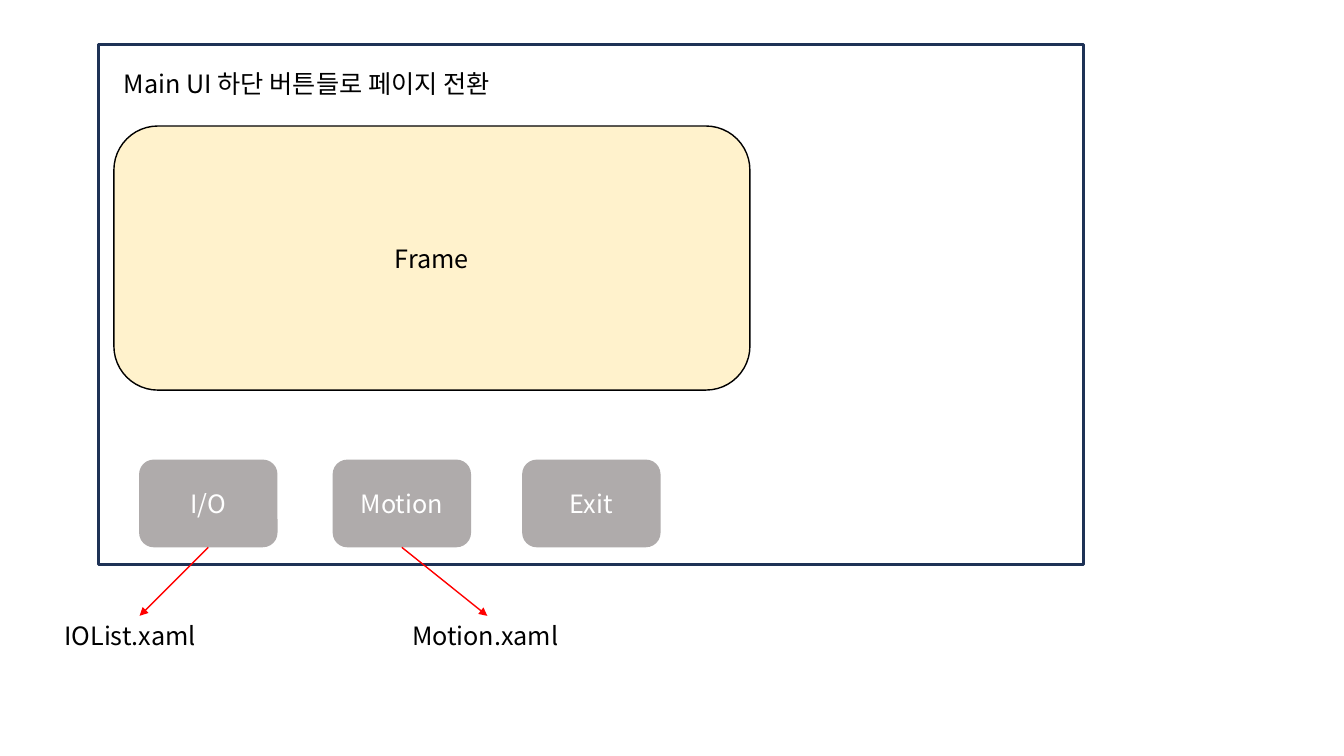
from dataclasses import dataclass

from lxml import etree
from pptx import Presentation
from pptx.dml.color import RGBColor
from pptx.enum.shapes import MSO_CONNECTOR, MSO_SHAPE
from pptx.enum.text import MSO_ANCHOR, MSO_AUTO_SIZE, PP_ALIGN
from pptx.oxml.ns import qn
from pptx.util import Inches, Pt

RECT, ROUND = MSO_SHAPE.RECTANGLE, MSO_SHAPE.ROUNDED_RECTANGLE
STRAIGHT = MSO_CONNECTOR.STRAIGHT
LEFT, CENTER = PP_ALIGN.LEFT, PP_ALIGN.CENTER
TOP, MIDDLE = MSO_ANCHOR.TOP, MSO_ANCHOR.MIDDLE
GROW = MSO_AUTO_SIZE.SHAPE_TO_FIT_TEXT
TOP_SITE, BOTTOM_SITE = 0, 2
COLS, ROWS = 40, 30


@dataclass(frozen=True)
class Theme:
    font: str = "Noto Sans CJK KR"
    size: int = 18
    thin: float = 1
    thick: float = 2.25
    ink: str = "000000"
    white: str = "FFFFFF"
    navy: str = "1E3256"
    gray: str = "AFABAB"
    cream: str = "FFF2CC"
    red: str = "FF0000"


def write(shape, text, *, font, size, color, align=LEFT, anchor=TOP):
    frame = shape.text_frame
    frame.word_wrap = True
    frame.vertical_anchor = anchor
    para = frame.paragraphs[0]
    para.alignment = align
    para.line_spacing = 1.0
    para.space_before = Pt(0)
    run = para.add_run()
    run.text = text
    run.font.size = Pt(size)
    run.font.color.rgb = RGBColor.from_string(color)
    run.font.name = font
    # Hangul takes its face from the East Asian font
    etree.SubElement(run.font._element, qn("a:ea"), typeface=font)


class Page:
    def __init__(self, deck, theme):
        self.theme = theme
        self.slide = deck.slides.add_slide(deck.slide_layouts[5])
        self.shapes = self.slide.shapes
        self.col = deck.slide_width / COLS
        self.row = deck.slide_height / ROWS

    def area(self, x, y, w, h):
        return (round(x * self.col), round(y * self.row),
                round(w * self.col), round(h * self.row))

    def text(self, shape, text, color=None, **style):
        write(shape, text, font=self.theme.font, size=self.theme.size,
              color=color or self.theme.ink, **style)

    def title(self, text, *box):
        head = self.shapes.title
        head.left, head.top, head.width, head.height = self.area(*box)
        self.text(head, text)
        head.text_frame.auto_size = GROW

    def label(self, text, *box):
        note = self.shapes.add_textbox(*self.area(*box))
        self.text(note, text)
        note.text_frame.auto_size = GROW
        return note

    def box(self, kind, *box, fill=None, line=None, width=None,
            text=None, color=None):
        shape = self.shapes.add_shape(kind, *self.area(*box))
        shape.shadow.inherit = False
        if fill:
            shape.fill.solid()
            shape.fill.fore_color.rgb = RGBColor.from_string(fill)
        else:
            shape.fill.background()
        if line:
            shape.line.color.rgb = RGBColor.from_string(line)
            shape.line.width = Pt(width)
        else:
            shape.line.fill.background()
        if text:
            self.text(shape, text, color, align=CENTER, anchor=MIDDLE)
        return shape

    def arrow(self, start, end):
        link = self.shapes.add_connector(STRAIGHT, 0, 0, 0, 0)
        link.begin_connect(start, BOTTOM_SITE)
        link.end_connect(end, TOP_SITE)
        link.line.color.rgb = RGBColor.from_string(self.theme.red)
        link.line.width = Pt(self.theme.thin)
        etree.SubElement(link.line._get_or_add_ln(), qn("a:tailEnd"),
                         type="triangle")
        etree.SubElement(link._element.spPr, qn("a:effectLst"))


def main():
    deck = Presentation()
    deck.slide_width, deck.slide_height = Inches(13.33), Inches(7.5)
    theme = Theme()
    page = Page(deck, theme)

    # Main window
    page.box(RECT, 2.94, 1.76, 29.32, 20.64,
             line=theme.navy, width=theme.thick)
    page.title("Main UI 하단 버튼들로 페이지 전환", 3.39, 2.52, 13.5, 1.6)

    # Content frame
    page.box(ROUND, 3.39, 5, 18.93, 10.48, fill=theme.cream,
             line=theme.ink, width=theme.thin, text="Frame")

    # Buttons, each with the page it opens
    buttons = [
        ("I/O", 4.14, "IOList.xaml", 1.62),
        ("Motion", 9.9, "Motion.xaml", 11.97),
        ("Exit", 15.54, None, None),
    ]
    for name, x, file, left in buttons:
        button = page.box(ROUND, x, 18.24, 4.12, 3.48, fill=theme.gray,
                          text=name, color=theme.white)
        if file:
            page.arrow(button, page.label(file, left, 24.44, 5.07, 1.6))

    deck.save("out.pptx")


if __name__ == "__main__":
    main()
